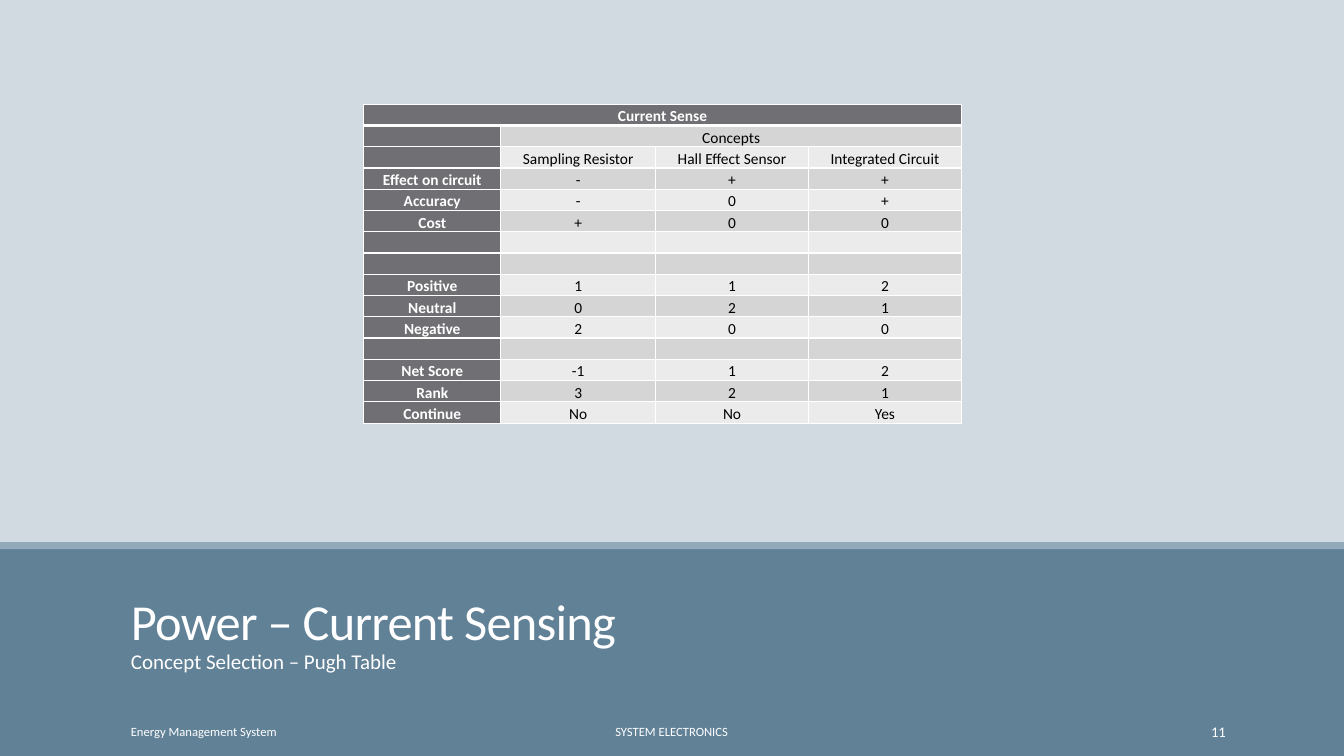
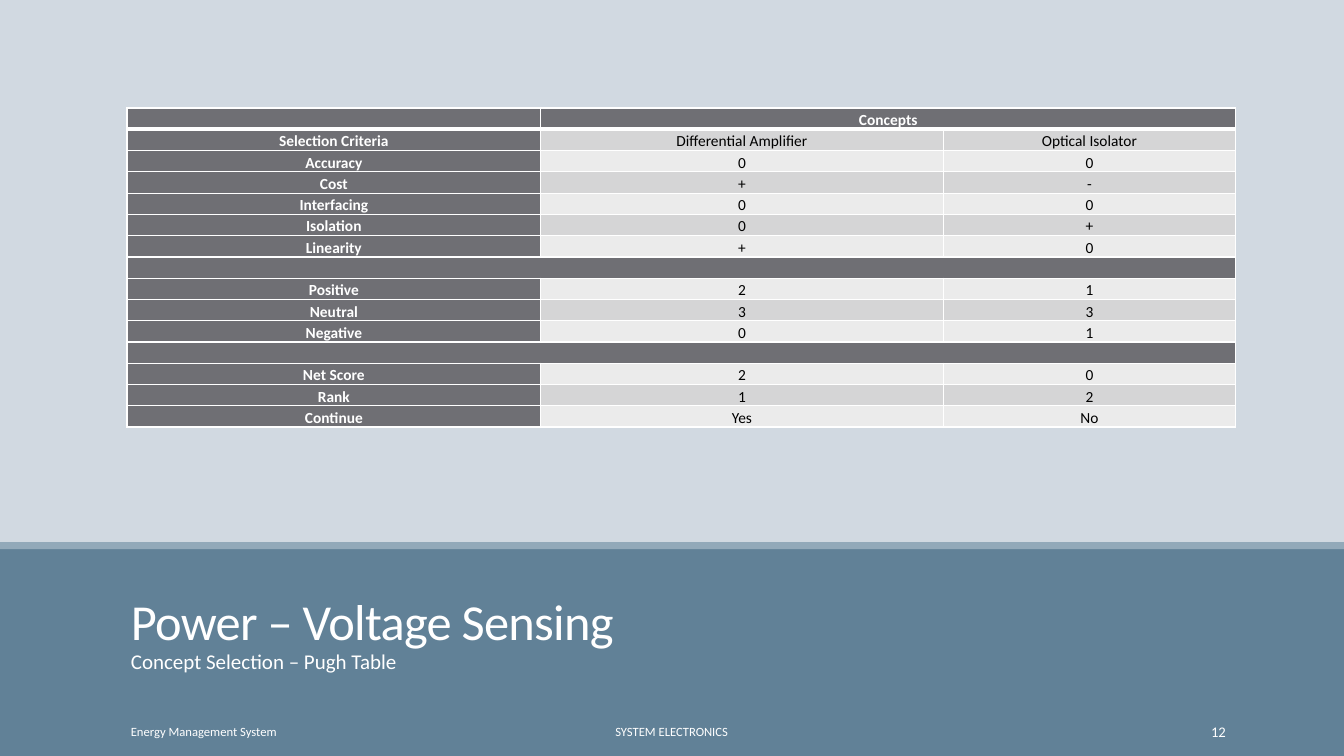
from lxml.etree import SubElement
from pptx import Presentation
from pptx.dml.color import RGBColor
from pptx.enum.shapes import MSO_SHAPE
from pptx.enum.text import MSO_ANCHOR, PP_ALIGN
from pptx.oxml.ns import qn
from pptx.util import Pt

# Shared style
FONT = "Calibri"
WHITE, BLACK = "FFFFFF", "000000"
BACKGROUND, BAND, ACCENT = "D1D9E1", "618197", "92A9B9"
HEADER, ODD_ROW, EVEN_ROW = "6F6F74", "D5D5D6", "EBEBEB"
PAGE_WIDTH, PAGE_HEIGHT = 960, 540
LEFT, CONTENT_WIDTH = 86.4, 796.3
FOOTER_TOP, FOOTER_HEIGHT = 508.3, 28.8
ROW_HEIGHT, TABLE_SIZE = 15.17, 11

# Table rows; None marks a cell covered by the merged cell on its left
CURRENT_ROWS = [
    ["Current Sense", None, None, None],
    ["", "Concepts", None, None],
    ["", "Sampling Resistor", "Hall Effect Sensor", "Integrated Circuit"],
    ["Effect on circuit", "-", "+", "+"],
    ["Accuracy", "-", "0", "+"],
    ["Cost", "+", "0", "0"],
    ["", "", "", ""],
    ["", "", "", ""],
    ["Positive", "1", "1", "2"],
    ["Neutral", "0", "2", "1"],
    ["Negative", "2", "0", "0"],
    ["", "", "", ""],
    ["Net Score", "-1", "1", "2"],
    ["Rank", "3", "2", "1"],
    ["Continue", "No", "No", "Yes"],
]
VOLTAGE_ROWS = [
    ["", "Concepts", None],
    ["Selection Criteria", "Differential Amplifier", "Optical Isolator"],
    ["Accuracy", "0", "0"],
    ["Cost", "+", "-"],
    ["Interfacing", "0", "0"],
    ["Isolation", "0", "+"],
    ["Linearity", "+", "0"],
    ["", None, None],
    ["Positive", "2", "1"],
    ["Neutral", "3", "3"],
    ["Negative", "0", "1"],
    ["", None, None],
    ["Net Score", "2", "0"],
    ["Rank", "1", "2"],
    ["Continue", "Yes", "No"],
]


def paint(fill, color):
    fill.solid()
    fill.fore_color.rgb = RGBColor.from_string(color)


def add_span(para, text, size, color=WHITE, bold=False):
    span = para.add_run()
    span.text = text
    span.font.name = FONT
    span.font.size = Pt(size)
    span.font.bold = bold
    span.font.color.rgb = RGBColor.from_string(color)
    return span


def add_band(page, top, height, color):
    band = page.shapes.add_shape(
        MSO_SHAPE.RECTANGLE, Pt(0), Pt(top), Pt(PAGE_WIDTH), Pt(height))
    band.shadow.inherit = False
    paint(band.fill, color)
    band.line.fill.background()


def add_text(page, text, left, top, width, height, size,
             anchor=MSO_ANCHOR.MIDDLE, align=PP_ALIGN.LEFT, inset=3.6):
    box = page.shapes.add_textbox(Pt(left), Pt(top), Pt(width), Pt(height))
    frame = box.text_frame
    frame.word_wrap = True
    frame.vertical_anchor = anchor
    frame.margin_top = frame.margin_bottom = Pt(inset)
    para = frame.paragraphs[0]
    para.alignment = align
    return para, add_span(para, text, size)


def add_footer(page, text, left, width, align, size=9):
    add_text(page, text, left, FOOTER_TOP, width, FOOTER_HEIGHT, size, align=align)


def add_page(deck, title, number):
    page = deck.slides.add_slide(deck.slide_layouts[6])
    paint(page.background.fill, BACKGROUND)
    add_band(page, 390, 150, BAND)
    add_band(page, 387.2, 5, ACCENT)

    # Title and subtitle
    para, span = add_text(page, title, LEFT, 399.6, CONTENT_WIDTH, 65, 36,
                          anchor=MSO_ANCHOR.BOTTOM, inset=0)
    para.line_spacing = 0.85
    span._r.get_or_add_rPr().set("spc", "-50")
    para, span = add_text(page, "Concept Selection – Pugh Table", LEFT, 465,
                          CONTENT_WIDTH, 46.8, 15, anchor=MSO_ANCHOR.TOP, inset=0)
    para.line_spacing = 0.9
    para.space_after = Pt(6)

    # Footer
    add_footer(page, "Energy Management System", LEFT, 194.4, PP_ALIGN.LEFT)
    add_footer(page, "SYSTEM ELECTRONICS", 290, 379.4, PP_ALIGN.CENTER)
    add_footer(page, str(number), 779.7, 103, PP_ALIGN.RIGHT, 10.5)
    return page


def add_borders(cell, row):
    # The header row is closed by a thick rule
    widths = {"L": 1, "R": 1, "T": 3 if row == 1 else 1, "B": 3 if row == 0 else 1}
    properties = cell._tc.get_or_add_tcPr()
    for side, width in widths.items():
        line = SubElement(properties, qn(f"a:ln{side}"), w=str(Pt(width)))
        SubElement(SubElement(line, qn("a:solidFill")), qn("a:srgbClr"), val=WHITE)


def fill_cell(cell, text, row, column):
    is_header = row == 0 or column == 0
    add_borders(cell, row)
    paint(cell.fill, HEADER if is_header else ODD_ROW if row % 2 else EVEN_ROW)
    cell.margin_left = cell.margin_right = Pt(5)
    cell.margin_top = cell.margin_bottom = Pt(0)
    cell.vertical_anchor = MSO_ANCHOR.BOTTOM
    para = cell.text_frame.paragraphs[0]
    para.alignment = PP_ALIGN.CENTER
    para.line_spacing = 1.15
    if text:
        add_span(para, text, TABLE_SIZE, WHITE if is_header else BLACK, is_header)
    else:
        # Keep empty rows as low as the others
        SubElement(para._p, qn("a:endParaRPr"), sz=str(TABLE_SIZE * 100))


def add_pugh_table(page, left, top, widths, rows):
    table = page.shapes.add_table(
        len(rows), len(widths), Pt(left), Pt(top),
        Pt(sum(widths)), Pt(ROW_HEIGHT * len(rows))).table
    table.first_row = table.horz_banding = False
    for column, width in zip(table.columns, widths):
        column.width = Pt(width)
    for row, texts in enumerate(rows):
        table.rows[row].height = Pt(ROW_HEIGHT)
        for column, text in enumerate(texts):
            fill_cell(table.cell(row, column), text, row, column)
        if None in texts:
            first = texts.index(None) - 1
            table.cell(row, first).merge(table.cell(row, len(texts) - 1))


def main():
    deck = Presentation()
    deck.slide_width, deck.slide_height = Pt(PAGE_WIDTH), Pt(PAGE_HEIGHT)

    page = add_page(deck, "Power – Current Sensing", 11)
    add_pugh_table(page, 259.8, 74.4, [98, 110.5, 109.25, 109.25], CURRENT_ROWS)

    page = add_page(deck, "Power – Voltage Sensing", 12)
    add_pugh_table(page, 90.7, 77.2, [295.6, 287.4, 209], VOLTAGE_ROWS)

    deck.save("out.pptx")


if __name__ == "__main__":
    main()
